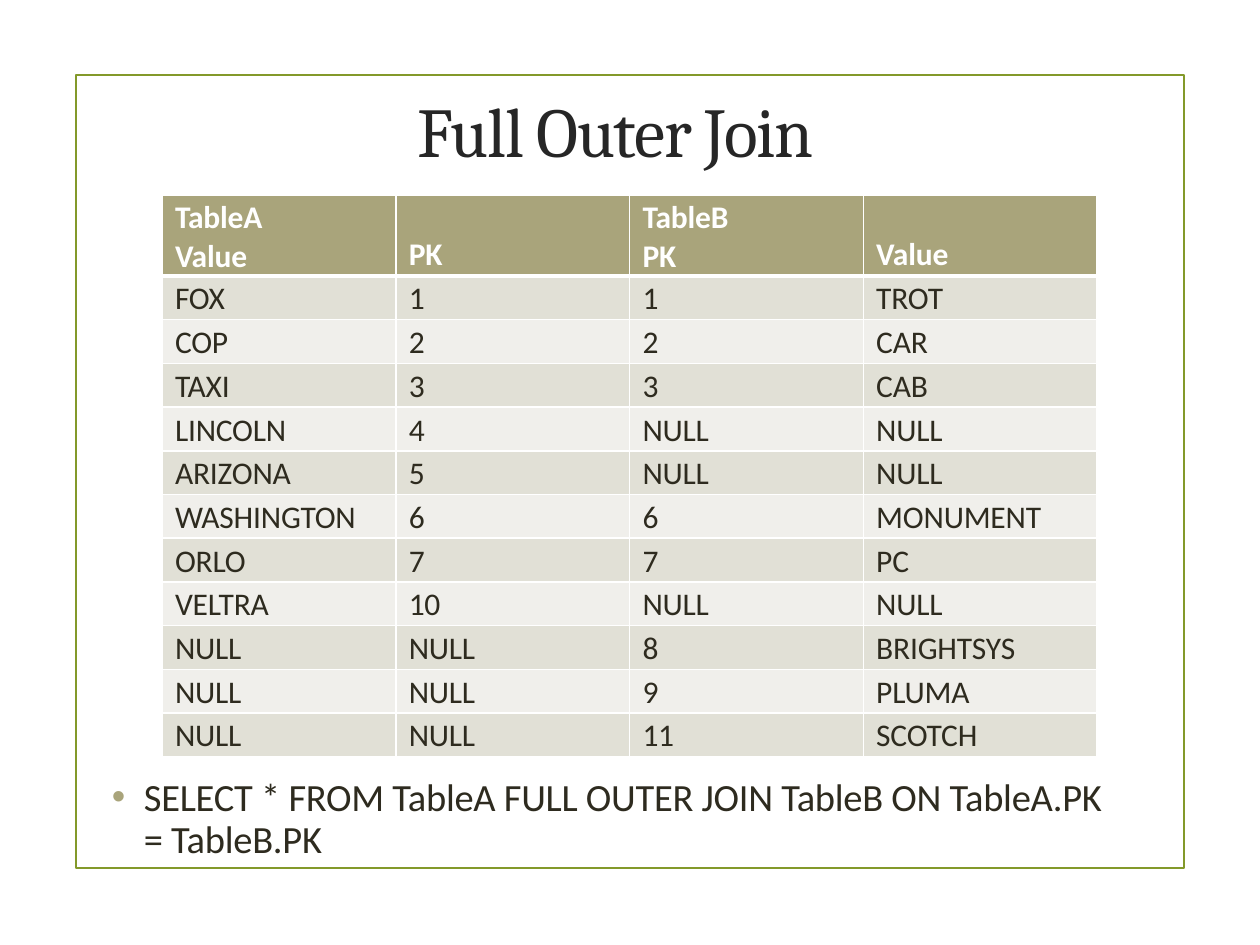
from pptx import Presentation
from pptx.dml.color import RGBColor
from pptx.enum.shapes import MSO_SHAPE
from pptx.enum.text import MSO_ANCHOR, PP_ALIGN
from pptx.oxml.ns import qn
from pptx.util import Pt
from lxml import etree

RECT = MSO_SHAPE.RECTANGLE
TOP, MIDDLE, BOTTOM = MSO_ANCHOR.TOP, MSO_ANCHOR.MIDDLE, MSO_ANCHOR.BOTTOM
LEFT, CENTER = PP_ALIGN.LEFT, PP_ALIGN.CENTER

TITLE = "Full Outer Join"
HEAD = ["TableA\nValue", "PK", "TableB\nPK", "Value"]
ROWS = [
    ("FOX", "1", "1", "TROT"),
    ("COP", "2", "2", "CAR"),
    ("TAXI", "3", "3", "CAB"),
    ("LINCOLN", "4", "NULL", "NULL"),
    ("ARIZONA", "5", "NULL", "NULL"),
    ("WASHINGTON", "6", "6", "MONUMENT"),
    ("ORLO", "7", "7", "PC"),
    ("VELTRA", "10", "NULL", "NULL"),
    ("NULL", "NULL", "8", "BRIGHTSYS"),
    ("NULL", "NULL", "9", "PLUMA"),
    ("NULL", "NULL", "11", "SCOTCH"),
]
QUERY = "SELECT * FROM TableA FULL OUTER JOIN TableB ON TableA.PK\n= TableB.PK"

COLORS = {
    "frame": "83992A", "title": "262626", "text": "2E2B1F", "white": "FFFFFF",
    "head": "A9A47B", "odd": "E1E0D6", "even": "F0EFEB",
}
FRAME_BOX = (76, 75, 1108, 793)
TITLE_BOX = (378, 79, 475, 101)
QUERY_BOX = (111, 777, 1009, 87)
TABLE_BOX = (162, 195, 935, 562)
HEAD_H = 81
PAD = 13


def px(n):
    return int(n * 914400 / 126)


def rgb(name):
    return RGBColor.from_string(COLORS[name])


def style(frame, font, size, color, align=LEFT, space=0, bold=False):
    for para in frame.paragraphs:
        para.alignment = align
        for run in para.runs:
            run.font.name = font
            run.font.size = Pt(size)
            run.font.bold = bold
            run.font.color.rgb = rgb(color)
            run.font._element.set("spc", str(space))


def add_text(box, text, anchor):
    frame = slide.shapes.add_textbox(*map(px, box)).text_frame
    frame.word_wrap = True
    frame.vertical_anchor = anchor
    frame.margin_left = frame.margin_right = frame.margin_bottom = 0
    frame.margin_top = px(1)
    frame.text = text
    return frame


def edge(cell, side, width):
    props = cell._tc.get_or_add_tcPr()
    line = etree.SubElement(props, qn("a:" + side), w=str(Pt(width)))
    fill = etree.SubElement(line, qn("a:solidFill"))
    etree.SubElement(fill, qn("a:srgbClr"), val=COLORS["white"])


def fill_cell(cell, text, row):
    head = row == 0
    cell.margin_left, cell.margin_right = px(PAD), 0
    cell.margin_top, cell.margin_bottom = px(4), 0
    if head and "\n" not in text:
        cell.vertical_anchor = BOTTOM
        cell.margin_bottom = px(2)
    else:
        cell.vertical_anchor = TOP
    cell.text_frame.text = text
    style(cell.text_frame, "Calibri", 18, "white" if head else "text",
          space=-10, bold=head)
    for side in ("lnL", "lnR"):
        edge(cell, side, 1)
    edge(cell, "lnT", 3 if row == 1 else 1)
    edge(cell, "lnB", 3 if head else 1)
    cell.fill.solid()
    cell.fill.fore_color.rgb = rgb("head" if head else "odd" if row % 2 else "even")


deck = Presentation()
deck.slide_width, deck.slide_height = px(1260), px(945)
slide = deck.slides.add_slide(deck.slide_layouts[6])

frame = slide.shapes.add_shape(RECT, *map(px, FRAME_BOX))
frame.shadow.inherit = False
frame.fill.background()
frame.line.color.rgb = rgb("frame")
frame.line.width = Pt(1.25)

title = add_text(TITLE_BOX, TITLE, MIDDLE)
style(title, "Cambria", 40, "title", CENTER, space=-80)

query = add_text(QUERY_BOX, QUERY, TOP)
style(query, "Calibri", 22, "text", space=-13)
for i, para in enumerate(query.paragraphs):
    para.line_spacing = Pt(23.8)
    props = para._p.get_or_add_pPr()
    props.set("marL", str(px(33)))
    props.set("indent", str(0 if i else px(-32)))
    if i == 0:
        tint = etree.SubElement(props, qn("a:buClr"))
        etree.SubElement(tint, qn("a:srgbClr"), val=COLORS["head"])
        etree.SubElement(props, qn("a:buFont"), typeface="Arial")
        etree.SubElement(props, qn("a:buChar"), char="•")

data = [HEAD] + ROWS
table = slide.shapes.add_table(len(data), len(HEAD), *map(px, TABLE_BOX)).table
for col in table.columns:
    col.width = px(TABLE_BOX[2] / len(HEAD))
for r, texts in enumerate(data):
    table.rows[r].height = px((TABLE_BOX[3] - HEAD_H) / len(ROWS) if r else HEAD_H)
    for c, text in enumerate(texts):
        fill_cell(table.cell(r, c), text, r)

deck.save("out.pptx")
